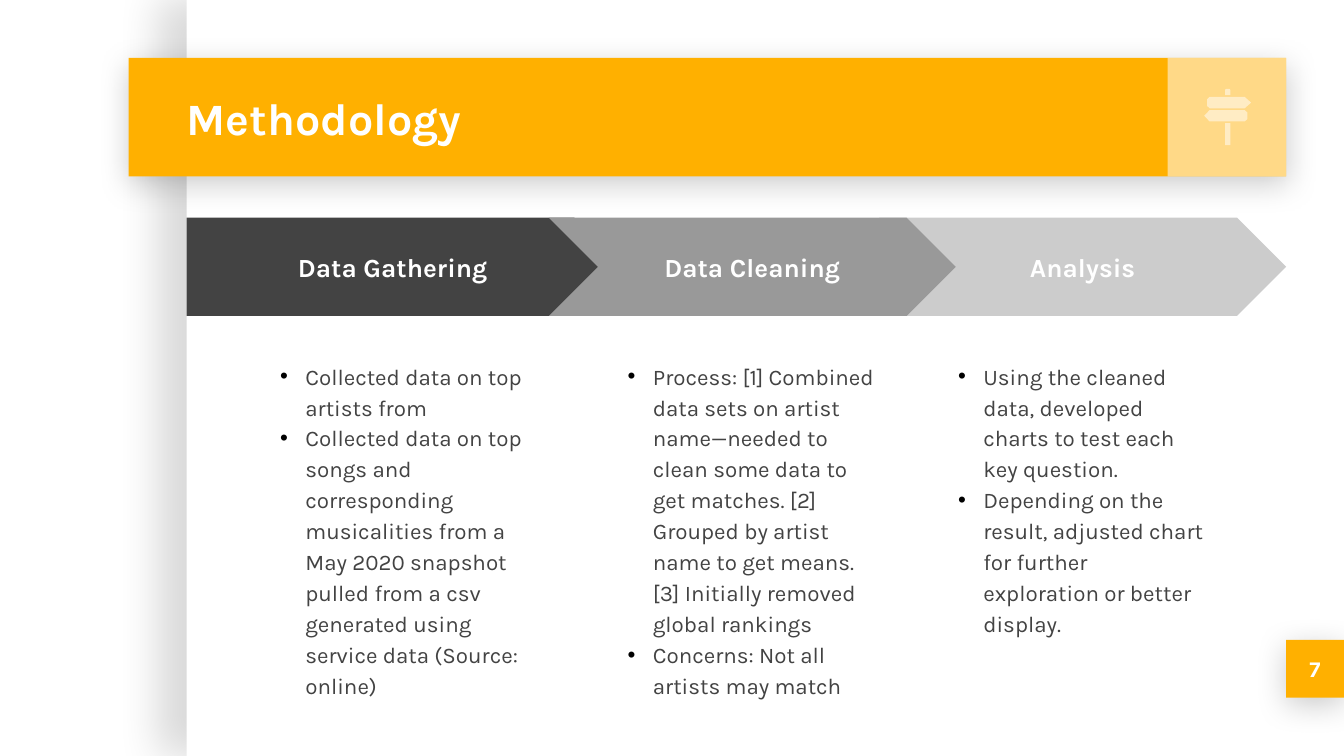
from lxml.etree import SubElement
from pptx import Presentation
from pptx.dml.color import RGBColor
from pptx.enum.shapes import MSO_SHAPE as Shape
from pptx.enum.text import MSO_ANCHOR as Anchor, PP_ALIGN as Align
from pptx.oxml.ns import qn
from pptx.util import Pt

WHITE = RGBColor(0xFF, 0xFF, 0xFF)
AMBER = RGBColor(0xFF, 0xB0, 0x00)
CHARCOAL = RGBColor(0x43, 0x43, 0x43)
MID_GRAY = RGBColor(0x99, 0x99, 0x99)
LIGHT_GRAY = RGBColor(0xCC, 0xCC, 0xCC)

INSET = Pt(7.2)
BULLET_INDENT = Pt(13.5)
STEP_TOP, STEP_HEIGHT = 116.6, 52.7
BODY_TOP, BODY_WIDTH, BODY_HEIGHT = 185, 147.6, 151

PAGE_SHADOW = {"alpha": 15, "blur": 22.5, "distance": 15, "angle": 180}
CARD_SHADOW = {"alpha": 20, "blur": 16.9, "distance": 3.8, "angle": 90}

TITLE_FONT = {"name": "Karla", "size": Pt(24), "bold": True}
STEP_FONT = {"name": "Karla", "size": Pt(14), "bold": True}
NUMBER_FONT = {"name": "Karla", "size": Pt(12), "bold": True}
BODY_FONT = {"name": "Karla", "size": Pt(12), "bold": False}

STEPS = [
    (Shape.CHEVRON, 471, 218, LIGHT_GRAY, "Analysis", 506.2, [
        "Using the cleaned data, developed charts to test each key question.",
        "Depending on the result, adjusted chart for further exploration or better display.",
    ]),
    (Shape.PENTAGON, 100, 234, CHARCOAL, "Data Gathering", 143, [
        "Collected data on top artists from",
        "Collected data on top songs and corresponding musicalities from a May 2020 "
        "snapshot pulled from a csv generated using service data (Source: online)",
    ]),
    (Shape.CHEVRON, 294, 218, MID_GRAY, "Data Cleaning", 329.2, [
        "Process: [1] Combined data sets on artist name—needed to clean some data to "
        "get matches. [2] Grouped by artist name to get means. [3] Initially removed "
        "global rankings",
        "Concerns: Not all artists may match",
    ]),
]

SIGNPOST = [
    [(648, 51.9), (666.8, 51.9), (670.2, 55), (666.8, 58), (648, 58),
     (646.6, 56.7), (646.6, 53.2)],
    [(648, 59), (645.1, 62), (648, 65.1), (666.8, 65.1), (668.2, 63.8),
     (668.2, 60.3), (666.8, 59)],
    [(656.8, 47.6), (658.6, 47.6), (659.1, 48.2), (659.1, 51), (656.3, 51),
     (656.3, 48.2)],
    [(656.3, 66), (656.3, 77.7), (659.1, 77.7), (659.1, 66)],
]


def style_shape(shape, color, opacity=100):
    shape.shadow.inherit = False
    shape.fill.solid()
    shape.fill.fore_color.rgb = color
    shape.line.fill.background()
    if opacity < 100:
        color_element = shape.fill._xPr.find(f".//{qn('a:srgbClr')}")
        SubElement(color_element, qn("a:alpha"), val=str(opacity * 1000))


def add_shadow(shape, alpha, blur, distance, angle):
    effects = shape._element.spPr.find(qn("a:effectLst"))
    shadow = SubElement(effects, qn("a:outerShdw"), blurRad=str(Pt(blur)),
                        dist=str(Pt(distance)), dir=str(angle * 60000),
                        algn="bl", rotWithShape="0")
    color_element = SubElement(shadow, qn("a:srgbClr"), val="000000")
    SubElement(color_element, qn("a:alpha"), val=str(alpha * 1000))


def add_block(slide, kind, box, color, opacity=100, shadow=None):
    shape = slide.shapes.add_shape(kind, *map(Pt, box))
    style_shape(shape, color, opacity)
    if shadow:
        add_shadow(shape, **shadow)
    return shape


def add_bullet(paragraph):
    paragraph.line_spacing = 1.15
    properties = paragraph._p.get_or_add_pPr()
    properties.set("marL", str(BULLET_INDENT))
    properties.set("indent", str(-BULLET_INDENT))
    bullet_color = SubElement(properties, qn("a:buClr"))
    SubElement(bullet_color, qn("a:srgbClr"), val="000000")
    SubElement(properties, qn("a:buFont"), typeface="Arial")
    SubElement(properties, qn("a:buChar"), char="•")


def write_text(shape, lines, font, color, align=Align.LEFT,
               anchor=Anchor.MIDDLE, bullets=False):
    frame = shape.text_frame
    frame_format = {"word_wrap": True, "vertical_anchor": anchor,
                    "margin_left": INSET, "margin_right": INSET,
                    "margin_top": INSET, "margin_bottom": INSET}
    for name, value in frame_format.items():
        setattr(frame, name, value)
    frame.text = "\n".join(lines)
    for paragraph in frame.paragraphs:
        paragraph.alignment = align
        if bullets:
            add_bullet(paragraph)
        run_font = paragraph.runs[0].font
        for name, value in font.items():
            setattr(run_font, name, value)
        run_font.color.rgb = color


def add_text_box(slide, box, lines, font, color, **layout):
    text_box = slide.shapes.add_textbox(*map(Pt, box))
    write_text(text_box, lines, font, color, **layout)


def add_signpost(slide):
    group = slide.shapes.add_group_shape()
    for outline in SIGNPOST:
        start, *rest = [(Pt(x), Pt(y)) for x, y in outline]
        builder = group.shapes.build_freeform(*start)
        builder.add_line_segments(rest, close=True)
        style_shape(builder.convert_to_shape(), WHITE, 51)


def add_step(slide, kind, left, width, color, heading, body_left, bullets):
    arrow = add_block(slide, kind, (left, STEP_TOP, width, STEP_HEIGHT), color)
    arrow.adjustments[0] = 0.5
    write_text(arrow, [heading], STEP_FONT, WHITE, align=Align.CENTER)
    add_text_box(slide, (body_left, BODY_TOP, BODY_WIDTH, BODY_HEIGHT), bullets,
                 BODY_FONT, CHARCOAL, anchor=Anchor.TOP, bullets=True)


def main():
    presentation = Presentation()
    presentation.slide_width, presentation.slide_height = Pt(720), Pt(405)
    slide = presentation.slides.add_slide(presentation.slide_layouts[6])

    add_block(slide, Shape.RECTANGLE, (100, 0, 620, 405), WHITE, shadow=PAGE_SHADOW)
    add_block(slide, Shape.RECTANGLE, (69, 31, 620, 63.5), AMBER, shadow=CARD_SHADOW)
    add_block(slide, Shape.RECTANGLE, (625.5, 31, 63.5, 63.5), WHITE, opacity=53)
    add_text_box(slide, (93, 31, 530.6, 63.5), ["Methodology"], TITLE_FONT, WHITE)

    number = add_block(slide, Shape.RECTANGLE, (689, 342.8, 31, 31), AMBER,
                       shadow=CARD_SHADOW)
    write_text(number, ["7"], NUMBER_FONT, WHITE, align=Align.CENTER)

    add_signpost(slide)
    for step in STEPS:
        add_step(slide, *step)
    presentation.save("out.pptx")


if __name__ == "__main__":
    main()
